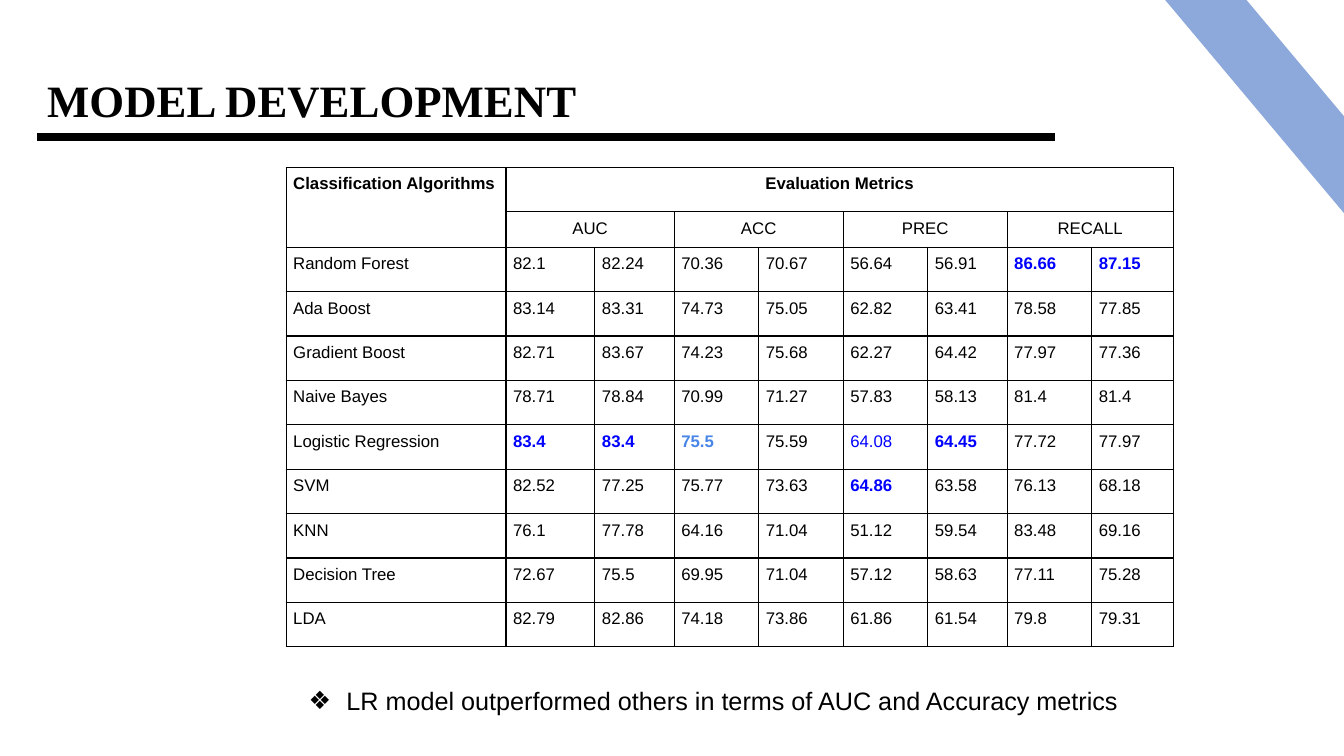
from lxml import etree
from pptx import Presentation
from pptx import util as u
from pptx.dml.color import RGBColor
from pptx.enum import shapes, text
from pptx.oxml.ns import qn

Cm, Pt = u.Cm, u.Pt
HUE = {"ink": "000000", "band": "8DA9DB", "best": "0000FF", "good": "4A86E8"}
ALIGN = text.PP_ALIGN

METRICS = ["AUC", "ACC", "PREC", "RECALL"]
SCORES = [
    ("Random Forest", "82.1 82.24 70.36 70.67 56.64 56.91 86.66 87.15"),
    ("Ada Boost", "83.14 83.31 74.73 75.05 62.82 63.41 78.58 77.85"),
    ("Gradient Boost", "82.71 83.67 74.23 75.68 62.27 64.42 77.97 77.36"),
    ("Naive Bayes", "78.71 78.84 70.99 71.27 57.83 58.13 81.4 81.4"),
    ("Logistic Regression", "83.4 83.4 75.5 75.59 64.08 64.45 77.72 77.97"),
    ("SVM", "82.52 77.25 75.77 73.63 64.86 63.58 76.13 68.18"),
    ("KNN", "76.1 77.78 64.16 71.04 51.12 59.54 83.48 69.16"),
    ("Decision Tree", "72.67 75.5 69.95 71.04 57.12 58.63 77.11 75.28"),
    ("LDA", "82.79 82.86 74.18 73.86 61.86 61.54 79.8 79.31"),
]
# Highlighted scores: (algorithm, column) -> format
BEST = {"hue": "best", "bold": True}
MARKS = {
    ("Random Forest", 7): BEST,
    ("Random Forest", 8): BEST,
    ("Logistic Regression", 1): BEST,
    ("Logistic Regression", 2): BEST,
    ("Logistic Regression", 3): {"hue": "good", "bold": True},
    ("Logistic Regression", 5): {"hue": "best"},
    ("Logistic Regression", 6): BEST,
    ("SVM", 5): BEST,
}
WIDTHS = [5.54, 2.24, 2, 2.13, 2.13, 2.13, 2, 2.13, 2.06]


def color(name):
    return RGBColor.from_string(HUE[name])


def write(frame, words, size=12, font="Arial", hue="ink", bold=False,
          align=ALIGN.LEFT, pad=(0.18, 0.18), space=None):
    frame.margin_left = frame.margin_right = Cm(pad[0])
    frame.margin_top = frame.margin_bottom = Cm(pad[1])
    para = frame.paragraphs[0]
    para.alignment = align
    if space:
        para.line_spacing = space
    run = para.add_run()
    run.text = words
    run.font.size, run.font.name, run.font.bold = Pt(size), font, bold
    run.font.color.rgb = color(hue)
    return para


def text_box(slide, x, y, w, h):
    frame = slide.shapes.add_textbox(Cm(x), Cm(y), Cm(w), Cm(h)).text_frame
    frame.word_wrap = True
    frame.auto_size = text.MSO_AUTO_SIZE.SHAPE_TO_FIT_TEXT
    return frame


def border(cell):
    props = cell._tc.get_or_add_tcPr()
    for spot, side in enumerate(("lnL", "lnR", "lnT", "lnB")):
        line = etree.Element(qn("a:" + side), w=str(Pt(1)))
        fill = etree.SubElement(line, qn("a:solidFill"))
        etree.SubElement(fill, qn("a:srgbClr"), val=HUE["ink"])
        props.insert(spot, line)


def add_band(slide, x, y, w, h):
    band = slide.shapes.add_shape(
        shapes.MSO_SHAPE.RECTANGLE, Cm(x), Cm(y), Cm(w), Cm(h))
    band.rotation = 50
    band.shadow.inherit = False
    band.fill.solid()
    band.fill.fore_color.rgb = color("band")
    band.line.fill.background()


def add_title(slide, x, y, w, h):
    write(text_box(slide, x, y, w, h), "MODEL DEVELOPMENT", size=32,
          font="Times New Roman", bold=True, pad=(0.25, 0.13))
    # Rule under the title
    base = Cm(y + h + 0.12)
    rule = slide.shapes.add_connector(
        shapes.MSO_CONNECTOR.STRAIGHT, Cm(x), base, Cm(x + 25.65), base)
    rule.line.width = Pt(6)
    rule.line.color.rgb = color("ink")
    etree.SubElement(rule._element.spPr, qn("a:effectLst"))


def add_scores(slide, x, y, w, h):
    count = len(SCORES) + 2
    grid = slide.shapes.add_table(
        count, len(WIDTHS), Cm(x), Cm(y), Cm(w), Cm(h)).table
    grid.first_row = grid.horz_banding = False
    for col, width in zip(grid.columns, WIDTHS):
        col.width = Cm(width)
    slim = 0.89
    for i, row in enumerate(grid.rows):
        row.height = Cm(slim) if i == 1 else Cm((h - slim) / (count - 1))
    for cell in grid.iter_cells():
        cell.fill.background()
        border(cell)

    # Headings
    grid.cell(0, 0).merge(grid.cell(1, 0))
    grid.cell(0, 1).merge(grid.cell(0, 8))
    write(grid.cell(0, 0).text_frame, "Classification Algorithms", bold=True)
    write(grid.cell(0, 1).text_frame, "Evaluation Metrics", bold=True,
          align=ALIGN.CENTER)
    for i, metric in enumerate(METRICS):
        head = grid.cell(1, 2 * i + 1)
        head.merge(grid.cell(1, 2 * i + 2))
        write(head.text_frame, metric, align=ALIGN.CENTER)

    # Scores
    for r, (name, values) in enumerate(SCORES, 2):
        for c, words in enumerate([name, *values.split()]):
            write(grid.cell(r, c).text_frame, words,
                  **MARKS.get((name, c), {}))
    for cell in grid.iter_cells():
        cell.margin_left = cell.margin_right = Cm(0.18)
        cell.margin_top = cell.margin_bottom = Cm(0.18)


def add_note(slide, x, y, w, h):
    para = write(text_box(slide, x, y, w, h),
                 "LR model outperformed others in terms of AUC and Accuracy metrics",
                 size=18, align=ALIGN.JUSTIFY, pad=(0.25, 0.25), space=1.5)
    props = para._p.get_or_add_pPr()
    props.set("marL", str(Cm(1.27)))
    props.set("indent", str(Cm(-0.95)))
    tint = etree.SubElement(props, qn("a:buClr"))
    etree.SubElement(tint, qn("a:srgbClr"), val=HUE["ink"])
    etree.SubElement(props, qn("a:buFont"), typeface="Arial")
    etree.SubElement(props, qn("a:buChar"), char="❖")


def main():
    deck = Presentation()
    deck.slide_width, deck.slide_height = Cm(33.87), Cm(19.05)
    slide = deck.slides.add_slide(deck.slide_layouts[6])
    add_band(slide, 26.11, 1.93, 13.11, 1.57)
    add_title(slide, 0.94, 1.7, 17.1, 1.63)
    add_scores(slide, 7.21, 4.22, sum(WIDTHS), 12.09)
    add_note(slide, 7.21, 16.64, 23.42, 1.27)
    deck.save("out.pptx")


if __name__ == "__main__":
    main()
